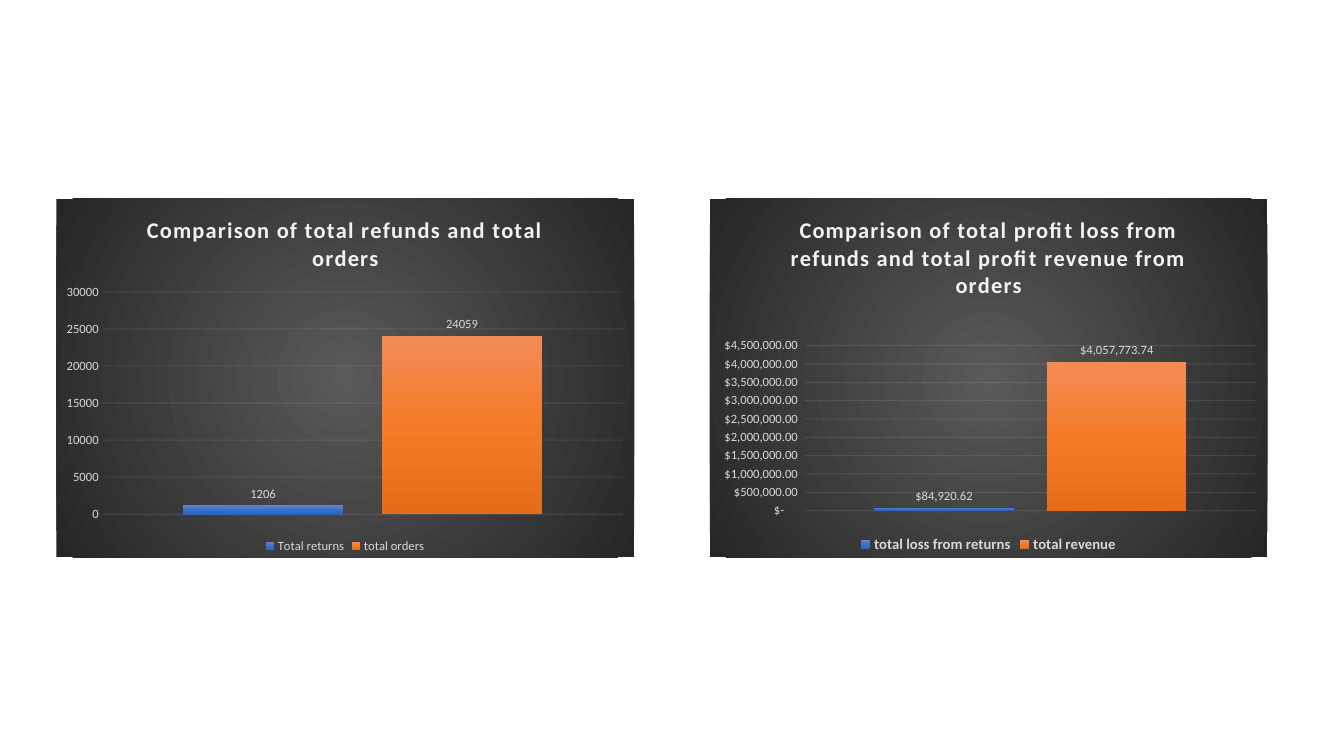
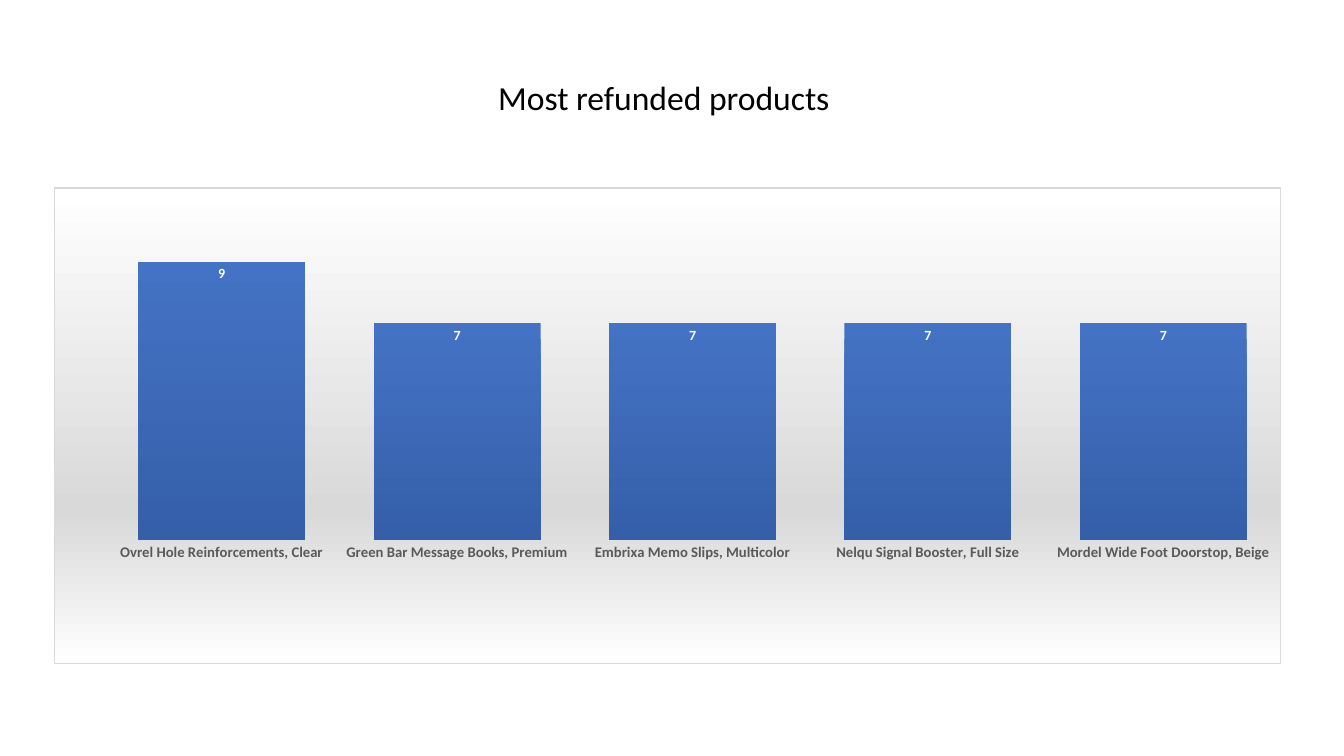
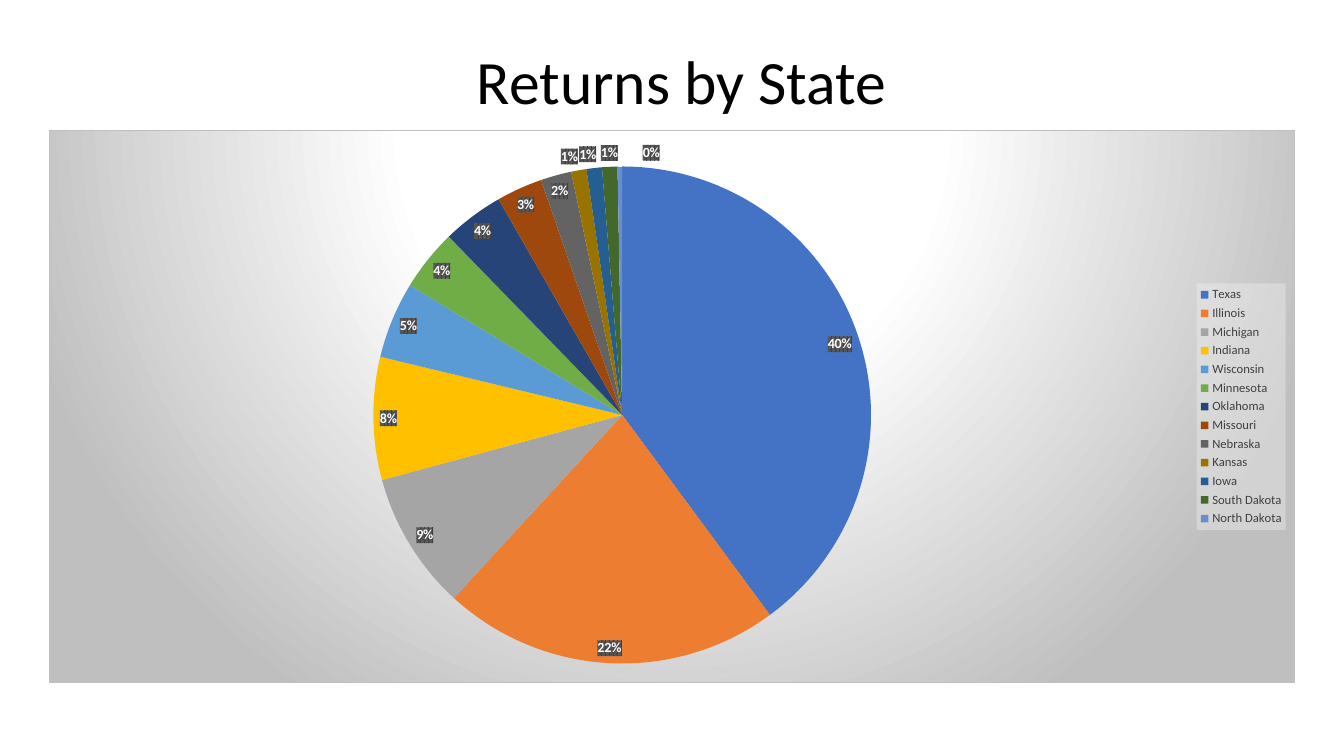
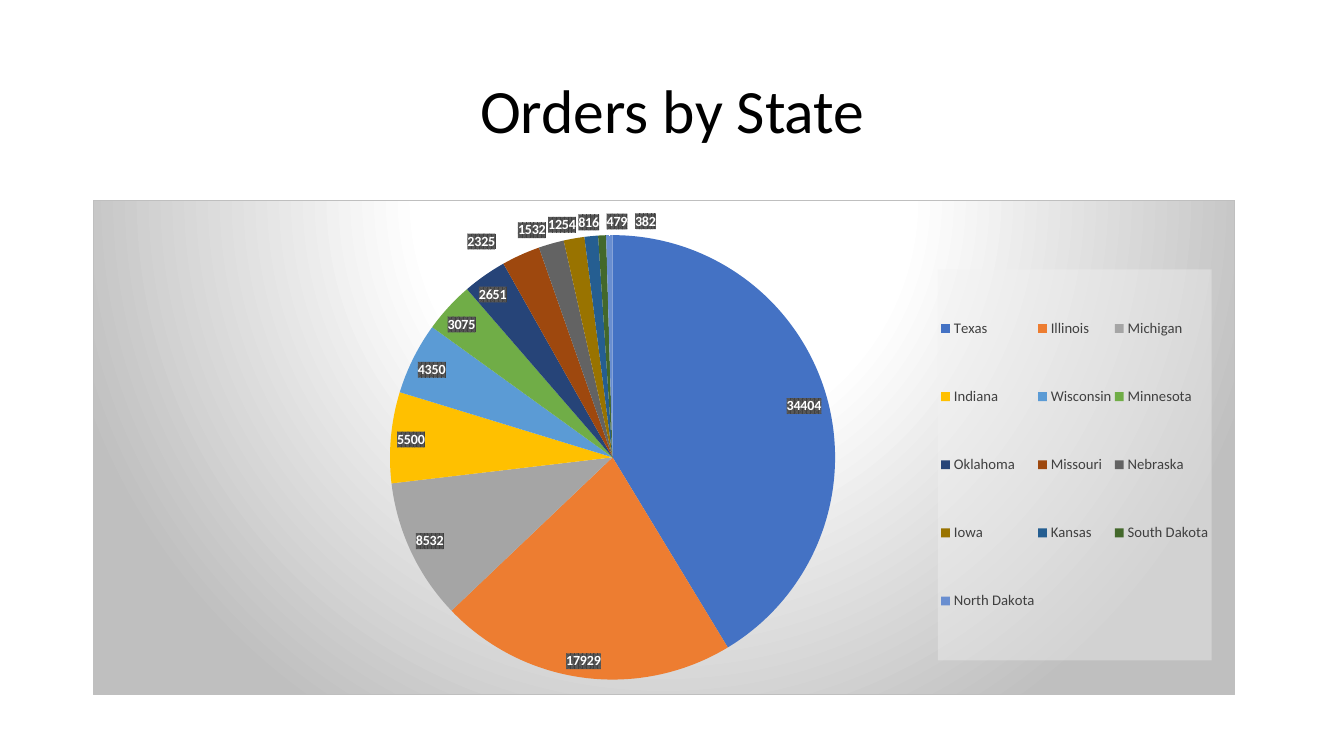
from dataclasses import dataclass

from lxml import etree
from pptx import Presentation
from pptx.chart.data import CategoryChartData
from pptx.dml.color import RGBColor
from pptx.enum.chart import (XL_CHART_TYPE, XL_LABEL_POSITION,
                             XL_LEGEND_POSITION, XL_TICK_MARK)
from pptx.enum.text import MSO_ANCHOR, PP_ALIGN
from pptx.oxml import parse_xml
from pptx.oxml.ns import qn
from pptx.util import Inches, Pt

COLUMNS, PIE = XL_CHART_TYPE.COLUMN_CLUSTERED, XL_CHART_TYPE.PIE
OUTSIDE, INSIDE, BEST_FIT = (XL_LABEL_POSITION.OUTSIDE_END,
                             XL_LABEL_POSITION.INSIDE_END,
                             XL_LABEL_POSITION.BEST_FIT)
BOTTOM, RIGHT = XL_LEGEND_POSITION.BOTTOM, XL_LEGEND_POSITION.RIGHT
NO_TICKS = XL_TICK_MARK.NONE
CENTER, MIDDLE, TOP = PP_ALIGN.CENTER, MSO_ANCHOR.MIDDLE, MSO_ANCHOR.TOP

# ---- Content ----
DOLLARS = r'_("$"* #,##0.00_);_("$"* \(#,##0.00\);_("$"* "-"??_);_(@_)'

COMPARISONS = [
    dict(title="Comparison of total profit loss from refunds and total profit "
               "revenue from orders",
         totals={"total loss from returns": 84920.62,
                 "total revenue": 4057773.74},
         number_format=DOLLARS, top_value=4500000, step=500000,
         legend_size=10.5, legend_bold=True,
         box=(7.04, 1.97, 5.53, 3.56), plot=(0.17, 0.41, 0.81, 0.46)),
    dict(title="Comparison of total refunds and total orders",
         totals={"Total returns": 1206, "total orders": 24059},
         number_format="General", top_value=30000, step=5000,
         legend_size=9, legend_bold=False,
         box=(0.56, 1.97, 5.73, 3.56), plot=(0.08, 0.26, 0.9, 0.62)),
]

REFUNDED_TITLE = "Most refunded products"
REFUNDED = {
    "Ovrel Hole Reinforcements, Clear": 9,
    "Green Bar Message Books, Premium": 7,
    "Embrixa Memo Slips, Multicolor": 7,
    "Nelqu Signal Booster, Full Size": 7,
    "Mordel Wide Foot Doorstop, Beige": 7,
}

# North Dakota rounds to 0% but still has a thin slice
STATE_SLIDES = [
    dict(title="Returns by State", title_box=(1.01, 0.11, 11.5, 1.45),
         counts={"Texas": 40, "Illinois": 22, "Michigan": 9, "Indiana": 8,
                 "Wisconsin": 5, "Minnesota": 4, "Oklahoma": 4, "Missouri": 3,
                 "Nebraska": 2, "Kansas": 1, "Iowa": 1, "South Dakota": 1,
                 "North Dakota": 0.3},
         percent=True, box=(0.49, 1.29, 12.35, 5.49),
         plot=(0.26, 0.06, 0.4, 0.91), legend_size=9, legend_area=None),
    dict(title="Orders by State", title_box=(0.92, 0.4, 11.5, 1.45),
         counts={"Texas": 34404, "Illinois": 17929, "Michigan": 8532,
                 "Indiana": 5500, "Wisconsin": 4350, "Minnesota": 3075,
                 "Oklahoma": 2651, "Missouri": 2325, "Nebraska": 1532,
                 "Iowa": 1254, "Kansas": 816, "South Dakota": 479,
                 "North Dakota": 382},
         percent=False, box=(0.92, 1.98, 11.33, 4.92),
         plot=(0.26, 0.07, 0.39, 0.9), legend_size=10.5,
         legend_area=(0.74, 0.14, 0.24, 0.79)),
]


# ---- Theme ----
@dataclass(frozen=True)
class Theme:
    font: str = "Calibri"
    ink: str = "000000"
    white: str = "FFFFFF"
    pale: str = "F2F2F2"
    light: str = "D9D9D9"
    edge: str = "BFBFBF"
    muted: str = "595959"
    dark: str = "404040"
    title_size: float = 44
    subtitle_size: float = 24
    chart_title_size: float = 16
    category_size: float = 10.5
    label_size: float = 10
    small_size: float = 9
    night: tuple = ((0, "595959"), (100, "262626"))
    silver: tuple = ((0, "FFFFFF"), (68, "D9D9D9"), (100, "FFFFFF"))
    spotlight: tuple = ((0, "FFFFFF"), (39, "FFFFFF"), (100, "BFBFBF"))
    product_bar: tuple = ((0, "4472C4"), (100, "355FA9"))
    total_bars: tuple = (
        ((0, "6183CB"), (50, "3E70CA"), (100, "3062BB")),
        ((0, "F18C57"), (50, "F67B28"), (100, "E56C19")))
    slices: tuple = ("4472C4", "ED7D31", "A5A5A5", "FFC000", "5B9BD5",
                     "70AD47", "264478", "9E480E", "636363", "997300",
                     "255E91", "43682B", "698ED0")


THEME = Theme()
CENTER_FOCUS = (50, 50, 50, 50)
TOP_FOCUS = (50, -80, 50, 180)
NAMESPACES = ('xmlns:a="http://schemas.openxmlformats.org/drawingml/2006/main" '
              'xmlns:c="http://schemas.openxmlformats.org/drawingml/2006/chart"')


# ---- Text ----
def style_font(font, size, color, bold=False):
    font.name, font.size, font.bold = THEME.font, Pt(size), bold
    font.color.rgb = RGBColor.from_string(color)


def write(frame, text, size, color=THEME.ink, bold=False, line_spacing=None,
          tracking=0):
    paragraph = frame.paragraphs[0]
    paragraph.alignment = CENTER
    if line_spacing:
        paragraph.line_spacing = line_spacing
    run = paragraph.add_run()
    run.text = text
    style_font(run.font, size, color, bold)
    if tracking:
        run._r.get_or_add_rPr().set("spc", str(tracking))


def add_heading(slide, box, text, size, anchor=MIDDLE, line_spacing=None):
    frame = slide.shapes.add_textbox(*map(Inches, box)).text_frame
    frame.word_wrap = True
    frame.vertical_anchor = anchor
    write(frame, text, size, line_spacing=line_spacing)


# ---- Fills and layout that need XML ----
def gradient(stops, focus=None):
    marks = "".join(f'<a:gs pos="{at * 1000}"><a:srgbClr val="{color}"/></a:gs>'
                    for at, color in stops)
    if focus:
        sides = " ".join(f'{side}="{share * 1000}"'
                         for side, share in zip("ltrb", focus))
        direction = f'<a:path path="circle"><a:fillToRect {sides}/></a:path>'
    else:
        direction = '<a:lin ang="5400000" scaled="0"/>'
    return (f'<a:gradFill {NAMESPACES}><a:gsLst>{marks}</a:gsLst>'
            f'{direction}</a:gradFill>')


def area_format(fill, border=None):
    line = "<a:noFill/>"
    if border:
        line = f'<a:solidFill><a:srgbClr val="{border}"/></a:solidFill>'
    return parse_xml(f'<c:spPr {NAMESPACES}>{fill}'
                     f'<a:ln w="{Pt(0.75)}">{line}</a:ln></c:spPr>')


def place(element, area, index, inner=False):
    for layout in element.findall(qn("c:layout")):
        element.remove(layout)
    target = '<c:layoutTarget val="inner"/>' if inner else ""
    modes = '<c:xMode val="edge"/><c:yMode val="edge"/>'
    sizes = "".join(f'<c:{side} val="{share}"/>'
                    for side, share in zip("xywh", area))
    element.insert(index, parse_xml(
        f'<c:layout {NAMESPACES}><c:manualLayout>{target}{modes}{sizes}'
        '</c:manualLayout></c:layout>'))


# ---- Charts ----
def add_chart(slide, kind, box, categories, series, plot, fill, border=None):
    values = CategoryChartData()
    values.categories = categories
    for name, numbers in series.items():
        values.add_series(name, numbers)
    chart = slide.shapes.add_chart(kind, *map(Inches, box), values).chart
    style_font(chart.font, THEME.label_size, THEME.ink)
    chart.has_title = chart.has_legend = False
    chart.plots[0].vary_by_categories = kind == PIE
    body = chart._chartSpace.find(qn("c:chart"))
    body.addnext(area_format(fill, border))
    place(body.find(qn("c:plotArea")), plot, 0, inner=True)
    return chart


def add_labels(plot, size, color, position, bold=False, percent=False,
               number_format="General"):
    plot.has_data_labels = True
    labels = plot.data_labels
    style_font(labels.font, size, color, bold)
    labels.show_value, labels.show_percentage = not percent, percent
    labels.number_format = "0%" if percent else number_format
    labels.number_format_is_linked = False
    labels.position = position
    return labels


def add_legend(chart, position, size, color, bold=False):
    chart.has_legend = True
    legend = chart.legend
    legend.position, legend.include_in_layout = position, False
    style_font(legend.font, size, color, bold)
    return legend


def fill_series(series, stops):
    series._element.get_or_add_spPr().append(parse_xml(gradient(stops)))


def add_comparison(slide, item):
    chart = add_chart(slide, COLUMNS, item["box"], ["1"],
                      {name: [total] for name, total in item["totals"].items()},
                      item["plot"], gradient(THEME.night, CENTER_FOCUS))
    chart.has_title = True
    write(chart.chart_title.text_frame, item["title"], THEME.chart_title_size,
          color=THEME.pale, bold=True, tracking=100)
    chart.category_axis.visible = False

    axis = chart.value_axis
    axis.minimum_scale, axis.maximum_scale = 0, item["top_value"]
    axis.major_unit, axis.major_tick_mark = item["step"], NO_TICKS
    style_font(axis.tick_labels.font, THEME.small_size, THEME.light)
    axis.tick_labels.number_format = item["number_format"]
    axis.tick_labels.number_format_is_linked = False
    axis.format.line.fill.background()
    grid = axis.major_gridlines.format.line
    grid.width = Pt(0.75)
    grid.color.rgb = RGBColor.from_string(THEME.pale)
    gridlines = axis._element.find(qn("c:majorGridlines"))
    etree.SubElement(gridlines.find(".//" + qn("a:srgbClr")), qn("a:alpha"),
                     val="10000")

    bars = chart.plots[0]
    bars.gap_width, bars.overlap = 100, -24
    for series, stops in zip(bars.series, THEME.total_bars):
        fill_series(series, stops)
    add_labels(bars, THEME.small_size, THEME.light, OUTSIDE,
               number_format=item["number_format"])
    add_legend(chart, BOTTOM, item["legend_size"], THEME.light,
               item["legend_bold"])


def add_refunded_products(slide):
    chart = add_chart(slide, COLUMNS, (0.54, 1.86, 12.17, 4.73),
                      list(REFUNDED), {"Refunds": list(REFUNDED.values())},
                      (0.04, 0.09, 0.96, 0.65), gradient(THEME.silver),
                      THEME.light)
    chart.value_axis.minimum_scale, chart.value_axis.maximum_scale = 0, 10
    chart.value_axis.has_major_gridlines = False
    chart.value_axis.visible = False
    axis = chart.category_axis
    axis.major_tick_mark = NO_TICKS
    axis.format.line.fill.background()
    style_font(axis.tick_labels.font, THEME.category_size, THEME.muted, True)
    bars = chart.plots[0]
    bars.gap_width = 41
    fill_series(bars.series[0], THEME.product_bar)
    add_labels(bars, THEME.label_size, THEME.white, INSIDE, bold=True)


def add_state_pie(slide, item):
    counts = item["counts"]
    chart = add_chart(slide, PIE, item["box"], list(counts),
                      {item["title"]: list(counts.values())}, item["plot"],
                      gradient(THEME.spotlight, TOP_FOCUS), THEME.edge)
    pie = chart.plots[0]
    for index, color in enumerate(THEME.slices):
        fill = pie.series[0].points[index].format.fill
        fill.solid()
        fill.fore_color.rgb = RGBColor.from_string(color)

    labels = add_labels(pie, THEME.label_size, THEME.white, BEST_FIT,
                        bold=True, percent=item["percent"])
    hatch = (f'<a:pattFill prst="pct75"><a:fgClr><a:srgbClr val="{THEME.dark}"/>'
             f'</a:fgClr><a:bgClr><a:srgbClr val="{THEME.muted}"/></a:bgClr>'
             '</a:pattFill>')
    labels._element.find(qn("c:txPr")).addprevious(area_format(hatch))

    legend = add_legend(chart, RIGHT, item["legend_size"], THEME.dark)
    veil = (f'<a:solidFill><a:srgbClr val="{THEME.pale}">'
            '<a:alpha val="39000"/></a:srgbClr></a:solidFill>')
    legend._element.find(qn("c:overlay")).addnext(area_format(veil))
    if item["legend_area"]:
        place(legend._element, item["legend_area"], 1)


# ---- Slides ----
deck = Presentation()
deck.slide_width, deck.slide_height = Inches(13.33), Inches(7.5)
BLANK = deck.slide_layouts[6]

totals_slide = deck.slides.add_slide(BLANK)
for comparison in COMPARISONS:
    add_comparison(totals_slide, comparison)

products_slide = deck.slides.add_slide(BLANK)
add_refunded_products(products_slide)
add_heading(products_slide, (0.5, 0.71, 12.17, 0.5), REFUNDED_TITLE,
            THEME.subtitle_size, anchor=TOP)

for state_item in STATE_SLIDES:
    state_slide = deck.slides.add_slide(BLANK)
    add_heading(state_slide, state_item["title_box"], state_item["title"],
                THEME.title_size, line_spacing=0.9)
    add_state_pie(state_slide, state_item)

deck.save("out.pptx")
